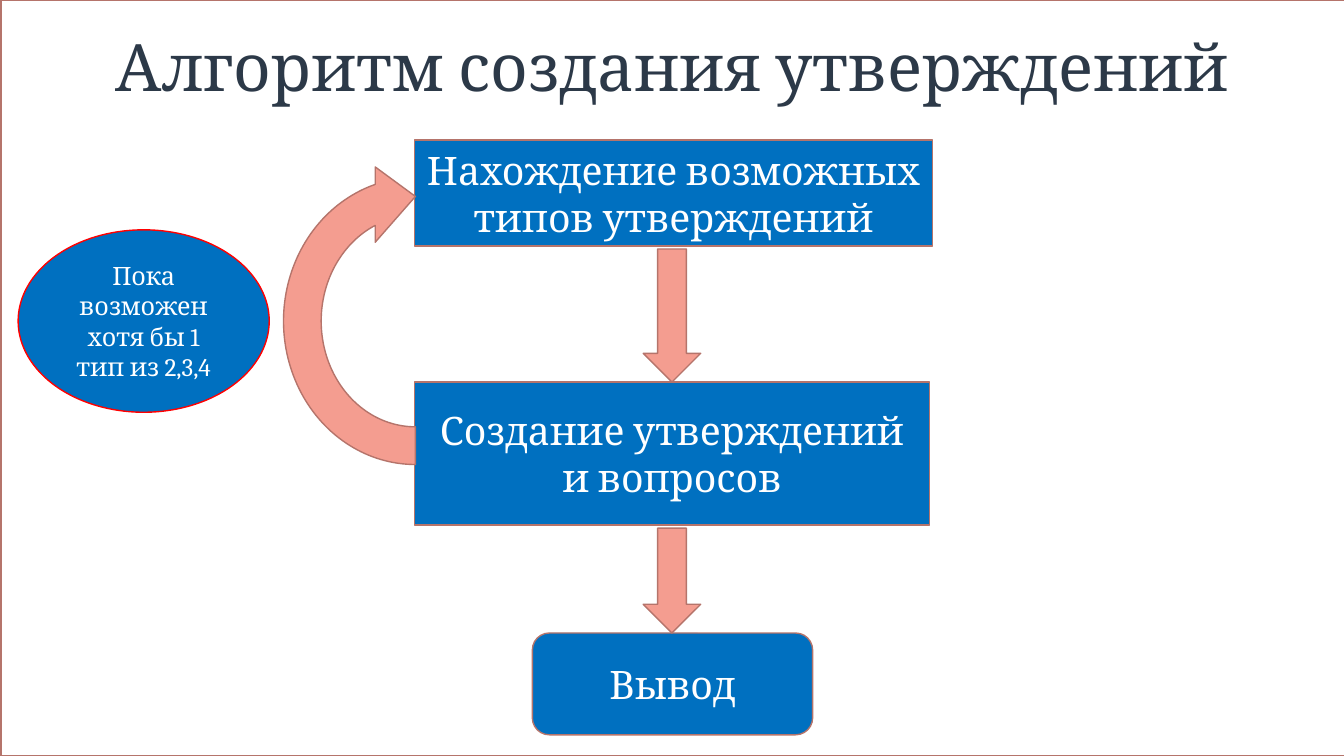
from pptx import Presentation
from pptx.dml.color import RGBColor
from pptx.enum.shapes import MSO_SHAPE
from pptx.enum.text import MSO_ANCHOR, PP_ALIGN
from pptx.util import Inches, Pt

RECTANGLE = MSO_SHAPE.RECTANGLE
ROUNDED = MSO_SHAPE.ROUNDED_RECTANGLE
OVAL = MSO_SHAPE.OVAL
DOWN_ARROW = MSO_SHAPE.DOWN_ARROW
LOOP_ARROW = MSO_SHAPE.CIRCULAR_ARROW
MIDDLE = MSO_ANCHOR.MIDDLE
CENTER = PP_ALIGN.CENTER

THEME = {
    "font": "Cambria",
    "title_size": 46.8,
    "step_size": 28,
    "note_size": 18,
    "title": "2C3948",
    "paper": "FFFFFF",
    "step": "0070C0",
    "arrow": "F49D90",
    "outline": "B5746B",
    "note_outline": "FF0000",
}

PAGE_SIZE = (13.33, 7.5)
TITLE = ("Алгоритм создания утверждений", (0.9, 0.3, 11.53, 0.79))
STEPS = [
    (RECTANGLE, "Нахождение возможных типов утверждений", (4.11, 1.39, 5.14, 1.05)),
    (RECTANGLE, "Создание утверждений и вопросов", (4.11, 3.79, 5.11, 1.42)),
    (ROUNDED, "Вывод", (5.28, 6.28, 2.78, 1.01)),
]
NOTE = ("Пока возможен хотя бы 1 тип из 2,3,4", (0.18, 2.28, 2.49, 1.81))
LOOP = (2.51, 1.69, 3.22, 2.99)
ARROW_LEFT, ARROW_WIDTH, ARROW_GAP = 6.38, 0.57, 0.03


def color(name):
    return RGBColor.from_string(THEME[name])


def write_text(shape, text, size="step_size", fill="paper", spacing=None):
    frame = shape.text_frame
    frame.word_wrap = True
    frame.vertical_anchor = MIDDLE
    para = frame.paragraphs[0]
    para.alignment = CENTER
    if spacing:
        para.line_spacing = spacing
    span = para.add_run()
    span.text = text
    span.font.name = THEME["font"]
    span.font.size = Pt(THEME[size])
    span.font.color.rgb = color(fill)


def add_block(page, kind, place, fill, outline="outline"):
    shape = page.shapes.add_shape(kind, *map(Inches, place))
    shape.shadow.inherit = False
    shape.fill.solid()
    shape.fill.fore_color.rgb = color(fill)
    shape.line.color.rgb = color(outline)
    shape.line.width = Pt(1)
    return shape


def main():
    deck = Presentation()
    deck.slide_width, deck.slide_height = map(Inches, PAGE_SIZE)
    page = deck.slides.add_slide(deck.slide_layouts[6])

    add_block(page, RECTANGLE, (0.01, 0, *PAGE_SIZE), "paper")

    title, title_place = TITLE
    title_box = page.shapes.add_textbox(*map(Inches, title_place))
    write_text(title_box, title, size="title_size", fill="title", spacing=0.9)

    for kind, text, place in STEPS:
        write_text(add_block(page, kind, place, "step"), text)

    for (_, _, above), (_, _, below) in zip(STEPS, STEPS[1:]):
        top = above[1] + above[3] + ARROW_GAP
        place = (ARROW_LEFT, top, ARROW_WIDTH, below[1] - top)
        add_block(page, DOWN_ARROW, place, "arrow")

    add_block(page, LOOP_ARROW, LOOP, "arrow").rotation = 270

    note, note_place = NOTE
    note_box = add_block(page, OVAL, note_place, "step", "note_outline")
    write_text(note_box, note, size="note_size")

    deck.save("out.pptx")


if __name__ == "__main__":
    main()
